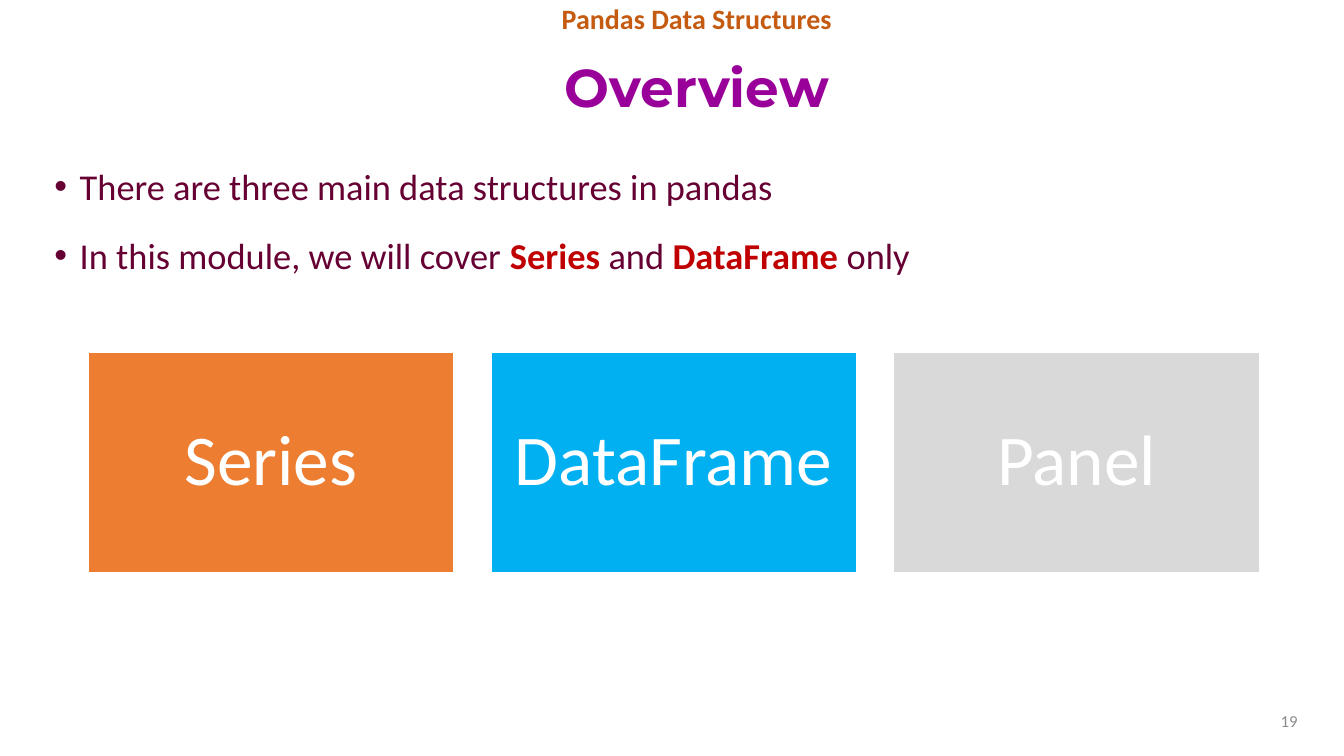
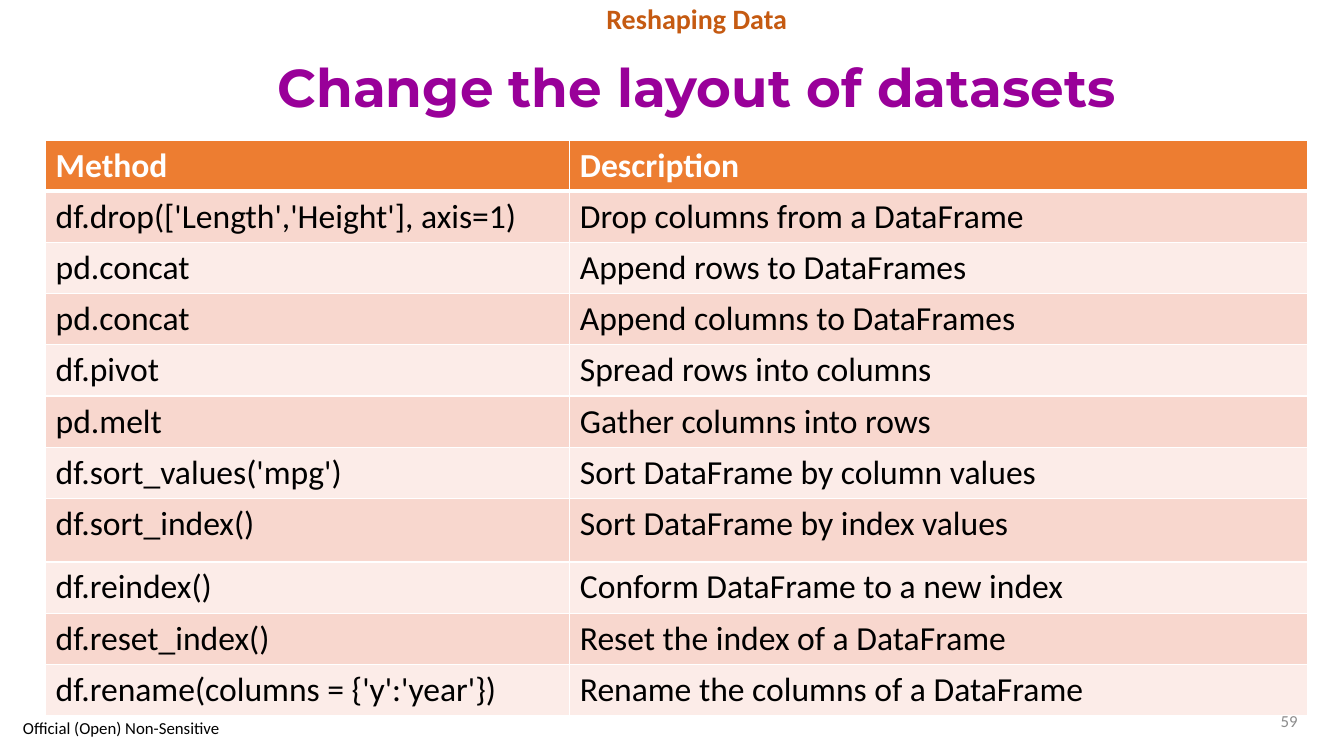
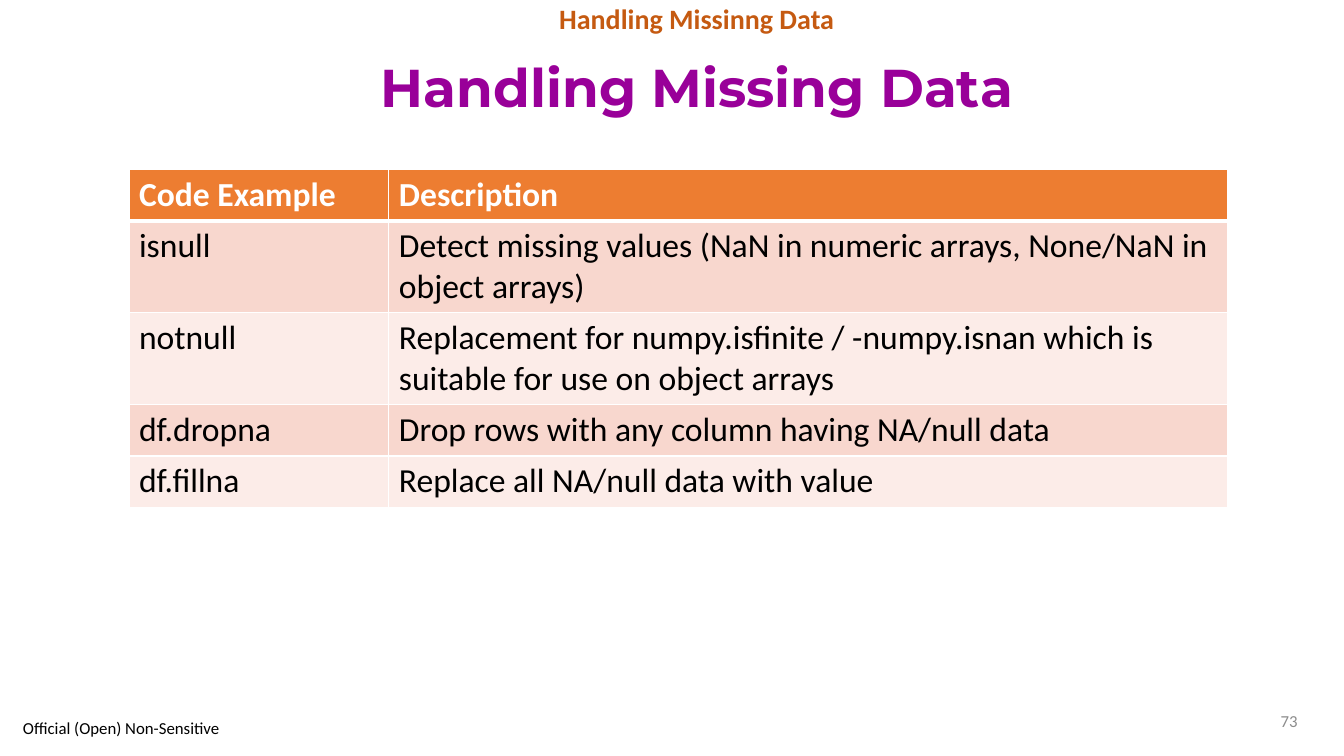
from lxml import etree
from pptx import Presentation
from pptx.dml.color import RGBColor
from pptx.enum.shapes import MSO_SHAPE
from pptx.enum.text import MSO_ANCHOR, PP_ALIGN
from pptx.oxml.ns import qn
from pptx.util import Cm, Pt

RECTANGLE = MSO_SHAPE.RECTANGLE
TOP, MIDDLE = MSO_ANCHOR.TOP, MSO_ANCHOR.MIDDLE
LEFT, CENTER, RIGHT = PP_ALIGN.LEFT, PP_ALIGN.CENTER, PP_ALIGN.RIGHT

# Shared look
COLORS = {
    "title": "990099",
    "section": "C55A11",
    "body": "660033",
    "key": "C00000",
    "number": "8C8C8C",
    "black": "000000",
    "white": "FFFFFF",
    "orange": "ED7D31",
    "blue": "00B0F0",
    "grey": "D9D9D9",
    "band_dark": "F8D7CE",
    "band_light": "FCECE8",
}
BODY_FONT = "Calibri"
TITLE_FONT = "Montserrat"
BLANK_LAYOUT = 6
ROW_HEIGHT = 1.29

# Content
OVERVIEW_BULLETS = [
    [("There are three main data structures in pandas", False)],
    [("In this module, we will cover ", False), ("Series", True),
     (" and ", False), ("DataFrame", True), (" only", False)],
]
STRUCTURES = [("Series", "orange"), ("DataFrame", "blue"), ("Panel", "grey")]
RESHAPING_ROWS = [
    ("Method", "Description"),
    ("df.drop(['Length','Height'], axis=1)", "Drop columns from a DataFrame"),
    ("pd.concat", "Append rows to DataFrames"),
    ("pd.concat", "Append columns to DataFrames"),
    ("df.pivot", "Spread rows into columns"),
    ("pd.melt", "Gather columns into rows"),
    ("df.sort_values('mpg')", "Sort DataFrame by column values"),
    ("df.sort_index()", "Sort DataFrame by index values"),
    ("df.reindex()", "Conform DataFrame to a new index"),
    ("df.reset_index()", "Reset the index of a DataFrame"),
    ("df.rename(columns = {'y':'year'})", "Rename the columns of a DataFrame"),
]
MISSING_ROWS = [
    ("Code Example", "Description"),
    ("isnull", "Detect missing values (NaN in numeric arrays, "
               "None/NaN in object arrays)"),
    ("notnull", "Replacement for numpy.isfinite / -numpy.isnan "
                "which is suitable for use on object arrays"),
    ("df.dropna", "Drop rows with any column having NA/null data"),
    ("df.fillna", "Replace all NA/null data with value"),
]


def rgb(color):
    return RGBColor.from_string(COLORS[color])


def style_span(span, size, color, bold=False, font=BODY_FONT):
    span.font.size = Pt(size)
    span.font.name = font
    span.font.bold = bold
    span.font.color.rgb = rgb(color)


def add_box(slide, left, top, width, height, anchor=MIDDLE):
    box = slide.shapes.add_textbox(Cm(left), Cm(top), Cm(width), Cm(height))
    box.text_frame.word_wrap = True
    box.text_frame.vertical_anchor = anchor
    return box


def add_line(slide, area, text, size, color, align=LEFT, spacing=1.0,
             anchor=MIDDLE, bold=False, font=BODY_FONT):
    """Add a text box that holds one paragraph in one style."""
    para = add_box(slide, *area, anchor).text_frame.paragraphs[0]
    para.text = text
    para.alignment = align
    para.line_spacing = spacing
    style_span(para.runs[0], size, color, bold, font)


def add_page(deck, section, title, number, label=None):
    """Add a slide with its section name, title, number and footer label."""
    page = deck.slides.add_slide(deck.slide_layouts[BLANK_LAYOUT])
    add_line(page, (2.21, 1.04, 30.71, 2.46), title, 38, "title",
             CENTER, 0.9, bold=True, font=TITLE_FONT)
    add_line(page, (6.65, 0, 21.82, 1.04), section, 20, "section",
             CENTER, 0.9, TOP, bold=True)
    add_line(page, (24.64, 17.65, 8.31, 1.02), str(number), 12, "number",
             RIGHT)
    if label:
        add_line(page, (0.33, 18.01, 5.69, 0.66), label, 12, "black")
    return page


def set_bullet(para, indent):
    properties = para._p.get_or_add_pPr()
    properties.set("marL", str(Cm(indent)))
    properties.set("indent", str(-Cm(indent)))
    font = etree.SubElement(properties, qn("a:buFont"))
    font.set("typeface", "Arial")
    bullet = etree.SubElement(properties, qn("a:buChar"))
    bullet.set("char", "•")


def add_bullets(slide, area, items):
    frame = add_box(slide, *area, TOP).text_frame
    for index, spans in enumerate(items):
        para = frame.add_paragraph() if index else frame.paragraphs[0]
        set_bullet(para, 0.64)
        para.space_before = Pt(18 if index else 0)
        for text, is_key in spans:
            span = para.add_run()
            span.text = text
            style_span(span, 26, "key" if is_key else "body", is_key)


def add_card(slide, area, text, fill):
    card = slide.shapes.add_shape(RECTANGLE, *map(Cm, area))
    card.shadow.inherit = False
    card.fill.solid()
    card.fill.fore_color.rgb = rgb(fill)
    card.line.color.rgb = rgb("white")
    card.line.width = Pt(1)
    frame = card.text_frame
    frame.word_wrap = True
    frame.vertical_anchor = MIDDLE
    frame.margin_left = frame.margin_right = Cm(0.5)
    para = frame.paragraphs[0]
    para.text = text
    para.alignment = CENTER
    para.line_spacing = 0.9
    style_span(para.runs[0], 51, "white")


def set_borders(cell, widths):
    """Draw white borders; widths maps a side (L, R, T, B) to points."""
    properties = cell._tc.get_or_add_tcPr()
    for side, width in widths.items():
        line = etree.SubElement(properties, qn("a:ln" + side))
        line.set("w", str(Pt(width)))
        fill = etree.SubElement(line, qn("a:solidFill"))
        etree.SubElement(fill, qn("a:srgbClr")).set("val", COLORS["white"])


def fill_cell(cell, text, row):
    is_header = row == 0
    set_borders(cell, {"L": 1, "R": 1, "T": 3 if row == 1 else 1,
                       "B": 3 if is_header else 1})
    band = "band_dark" if row % 2 else "band_light"
    cell.fill.solid()
    cell.fill.fore_color.rgb = rgb("orange" if is_header else band)
    para = cell.text_frame.paragraphs[0]
    para.text = text
    style_span(para.runs[0], 24, "white" if is_header else "black", is_header)


def add_grid(slide, left, top, widths, rows, tall_rows):
    """Add a banded table; tall_rows maps a row index to its height."""
    heights = [tall_rows.get(row, ROW_HEIGHT) for row in range(len(rows))]
    table = slide.shapes.add_table(
        len(rows), len(widths), Cm(left), Cm(top),
        Cm(sum(widths)), Cm(sum(heights))).table
    table.horz_banding = False
    for column, width in zip(table.columns, widths):
        column.width = Cm(width)
    for row, texts in enumerate(rows):
        table.rows[row].height = Cm(heights[row])
        for column, text in enumerate(texts):
            fill_cell(table.cell(row, column), text, row)


def main():
    deck = Presentation()
    deck.slide_width, deck.slide_height = Cm(33.87), Cm(19.05)
    label = "Official (Open) Non-Sensitive"

    # Overview of the data structures
    page = add_page(deck, "Pandas Data Structures", "Overview", 19)
    add_bullets(page, (1.12, 4.01, 32, 13.16), OVERVIEW_BULLETS)
    card_width, card_gap = 9.22, 0.93
    for index, (name, fill) in enumerate(STRUCTURES):
        left = 2.22 + index * (card_width + card_gap)
        add_card(page, (left, 8.89, card_width, 5.54), name, fill)

    # Reshaping methods
    page = add_page(deck, "Reshaping Data", "Change the layout of datasets",
                    59, label)
    add_grid(page, 1.15, 3.53, (13.21, 18.59), RESHAPING_ROWS, {7: 1.6})

    # Missing data methods
    page = add_page(deck, "Handling Missinng Data", "Handling Missing Data",
                    73, label)
    add_grid(page, 3.25, 4.27, (6.55, 21.13), MISSING_ROWS,
             {1: 2.32, 2: 2.32})

    deck.save("out.pptx")


if __name__ == "__main__":
    main()
